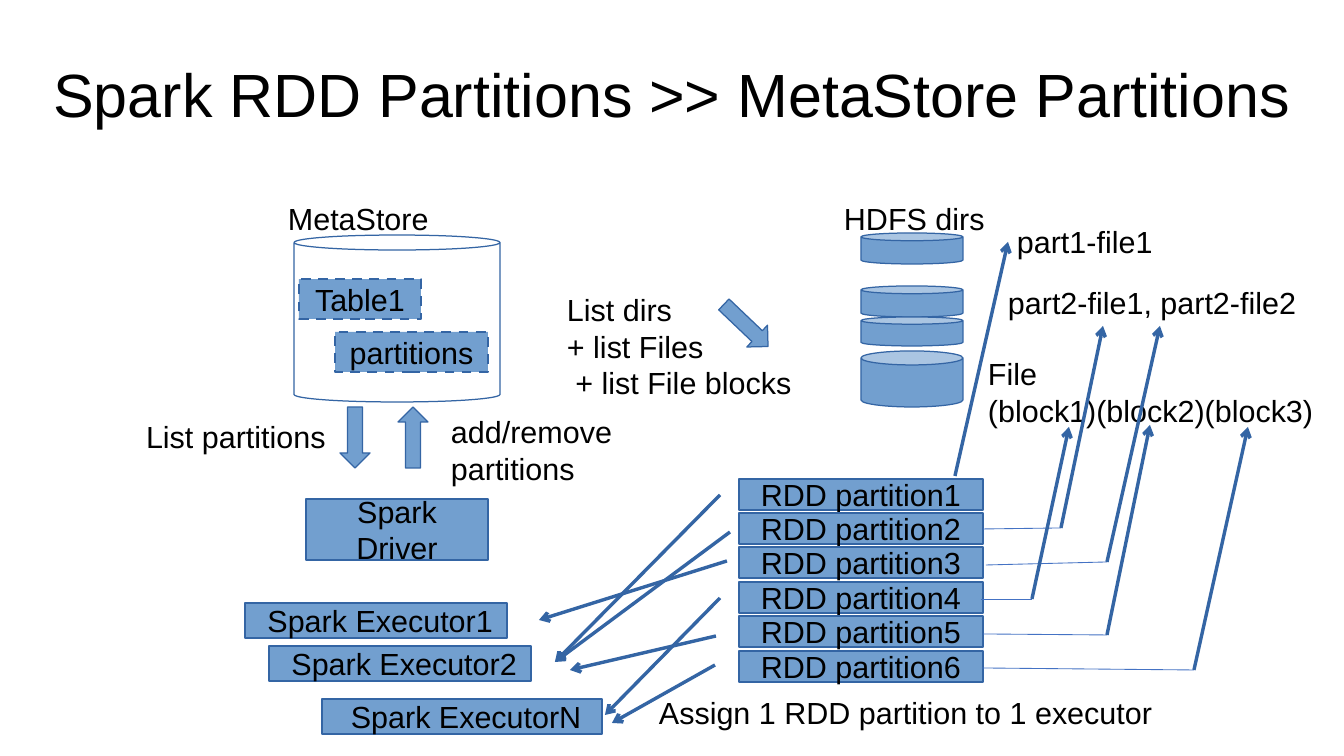
from lxml.etree import SubElement
from pptx import Presentation
from pptx.dml.color import RGBColor
from pptx.enum.dml import MSO_LINE
from pptx.enum.shapes import MSO_CONNECTOR, MSO_SHAPE
from pptx.enum.text import MSO_ANCHOR, MSO_AUTO_SIZE, PP_ALIGN
from pptx.oxml.ns import qn
from pptx.util import Pt

SCALE = 914400 / 122  # EMU in one px
COLORS = {"text": "000000", "fill": "729FCF", "edge": "3465A4", "elbow": "4472C4"}
FRAME = {"word_wrap": True, "auto_size": MSO_AUTO_SIZE.NONE}


def px(*lengths):
    return [round(length * SCALE) for length in lengths]


def color(name):
    return RGBColor.from_string(COLORS[name])


def set_attributes(target, values):
    for name, value in values.items():
        setattr(target, name, value)


def write(shape, lines, size=18, align=PP_ALIGN.LEFT, anchor=MSO_ANCHOR.TOP, margins=(12, 6)):
    frame = shape.text_frame
    side, top = px(*margins)
    set_attributes(frame, {
        **FRAME, "vertical_anchor": anchor, "margin_left": side,
        "margin_right": side, "margin_top": top, "margin_bottom": top,
    })
    frame.text = lines
    for paragraph in frame.paragraphs:
        paragraph.alignment = align
        for run in paragraph.runs:
            set_attributes(run.font, {"name": "Arial", "size": Pt(size)})
            run.font.color.rgb = color("text")


def add_title(slide, text):
    title = slide.shapes.title
    left, top, width, height = px(0, 10, 1344, 167)
    set_attributes(title, {"left": left, "top": top, "width": width, "height": height})
    write(title, text, 36, PP_ALIGN.CENTER, MSO_ANCHOR.MIDDLE, (0, 0))


def add_label(slide, text, *box):
    write(slide.shapes.add_textbox(*px(*box)), text)


def add_figure(slide, kind, *box, filled=True):
    shape = slide.shapes.add_shape(kind, *px(*box))
    shape.shadow.inherit = False
    if filled:
        shape.fill.solid()
        shape.fill.fore_color.rgb = color("fill")
    else:
        shape.fill.background()
    shape.line.color.rgb = color("edge")
    shape.line.width = Pt(0)
    return shape


def add_box(slide, text, *box, dashed=False):
    shape = add_figure(slide, MSO_SHAPE.RECTANGLE, *box)
    if dashed:
        set_attributes(shape.line, {"width": Pt(1.45), "dash_style": MSO_LINE.DASH})
    write(shape, text, align=PP_ALIGN.CENTER, anchor=MSO_ANCHOR.MIDDLE)


def add_cylinder(slide, cap, *box, filled=True):
    add_figure(slide, MSO_SHAPE.CAN, *box, filled=filled).adjustments[0] = cap


def add_line(slide, *ends, line_color="edge", width=0, arrow=True):
    connector = slide.shapes.add_connector(MSO_CONNECTOR.STRAIGHT, *px(*ends))
    connector.line.color.rgb = color(line_color)
    connector.line.width = Pt(width)
    if arrow:
        SubElement(connector.line._get_or_add_ln(), qn("a:tailEnd"), type="arrow")
    SubElement(connector._element.spPr, qn("a:effectLst"))


def main():
    presentation = Presentation()
    presentation.slide_width, presentation.slide_height = px(1344, 756)
    slide = presentation.slides.add_slide(presentation.slide_layouts[5])
    add_title(slide, "Spark RDD Partitions >> MetaStore Partitions")

    # MetaStore and its tables
    add_box(slide, "Table1", 299, 279, 122, 40, dashed=True)
    add_cylinder(slide, 0.09, 294, 235, 206, 167, filled=False)
    add_box(slide, "partitions", 335, 332, 153, 40, dashed=True)

    # HDFS directories
    for top, height in ((233, 31), (286, 31), (317, 29), (351, 56)):
        add_cylinder(slide, 0.25, 861, top, 102, height)

    # Driver, executors and RDD partitions
    add_box(slide, "Spark Driver", 306, 499, 182, 61)
    for name, left, top, width, height in (
        ("1", 245, 603, 262, 35),
        ("2", 269, 646, 262, 35),
        ("N", 322, 699, 280, 35),
    ):
        add_box(slide, f" Spark Executor{name}", left, top, width, height)
    for index in range(6):
        add_box(slide, f"RDD partition{index + 1}", 739, 479 + index * 172 // 5, 244, 31)

    # Block arrows
    add_figure(slide, MSO_SHAPE.UP_ARROW, 398, 407, 30, 61)
    add_figure(slide, MSO_SHAPE.DOWN_ARROW, 340, 407, 30, 61)
    add_figure(slide, MSO_SHAPE.DOWN_ARROW, 731, 295, 30, 61).rotation = 313.6

    # Labels
    for text, *box in (
        ("MetaStore", 276, 194, 179, 48),
        ("HDFS dirs", 832, 194, 223, 48),
        ("List partitions", 134, 412, 204, 83),
        ("add/remove\npartitions", 439, 407, 251, 83),
        ("List dirs\n+ list Files\n + list File blocks", 555, 285, 249, 115),
        ("part1-file1", 1005, 217, 224, 48),
        ("part2-file1, part2-file2", 996, 278, 340, 48),
        ("File\v(block1)(block2)(block3)", 976, 349, 368, 118),
        ("Assign 1 RDD partition to 1 executor", 647, 688, 526, 46),
    ):
        add_label(slide, text, *box)

    # Arrows from partitions to executors
    for ends in (
        (720, 495, 555, 662), (730, 532, 555, 662), (727, 561, 539, 620),
        (720, 598, 605, 715), (716, 636, 570, 670), (715, 665, 612, 723),
    ):
        add_line(slide, *ends)

    # Arrows from partitions to files and blocks
    add_line(slide, 955, 476, 1008, 242)
    for start_x, start_y, corner_x, corner_y, end_x, end_y in (
        (983, 529, 1061, 528, 1103, 326),
        (986, 565, 1107, 562, 1160, 326),
        (981, 599, 1032, 599, 1069, 427),
        (983, 634, 1107, 635, 1150, 425),
        (982, 668, 1194, 670, 1248, 427),
    ):
        add_line(slide, start_x, start_y, corner_x, corner_y,
                 line_color="elbow", width=0.5, arrow=False)
        add_line(slide, corner_x, corner_y, end_x, end_y)

    presentation.save("out.pptx")


if __name__ == "__main__":
    main()
